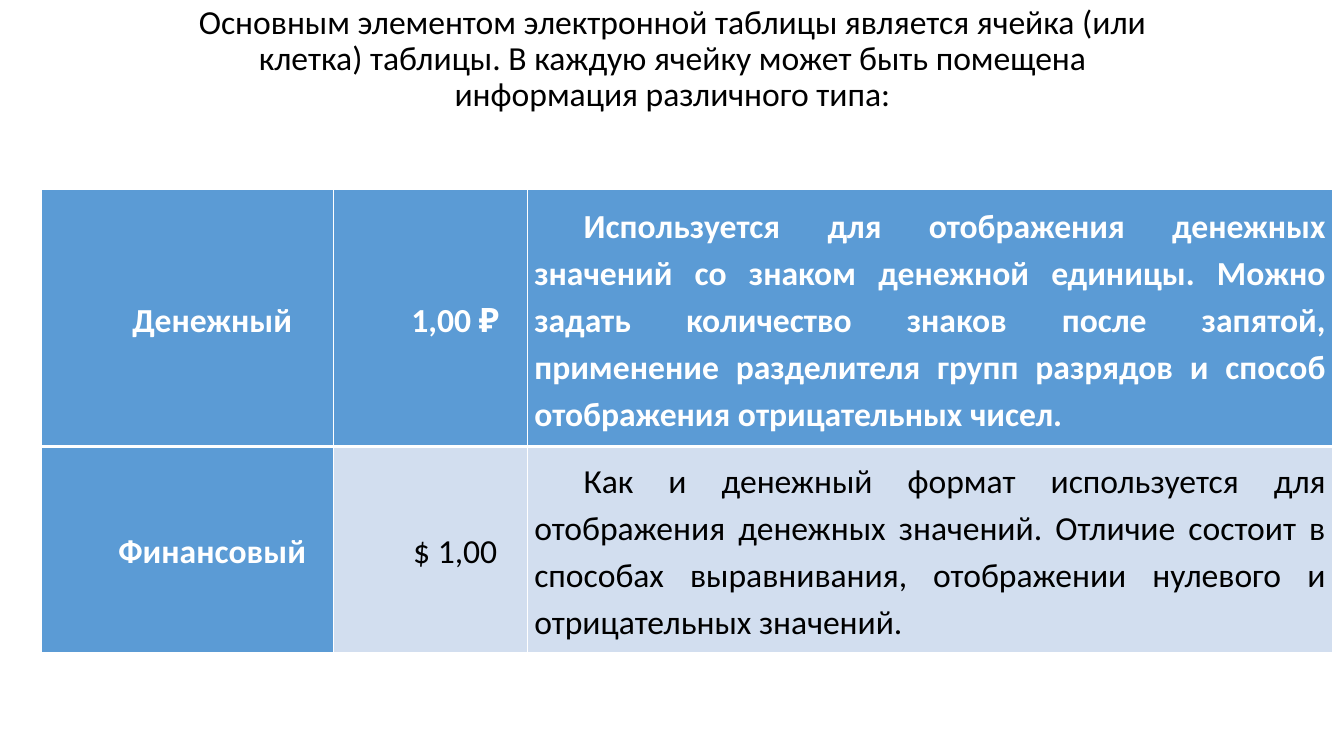
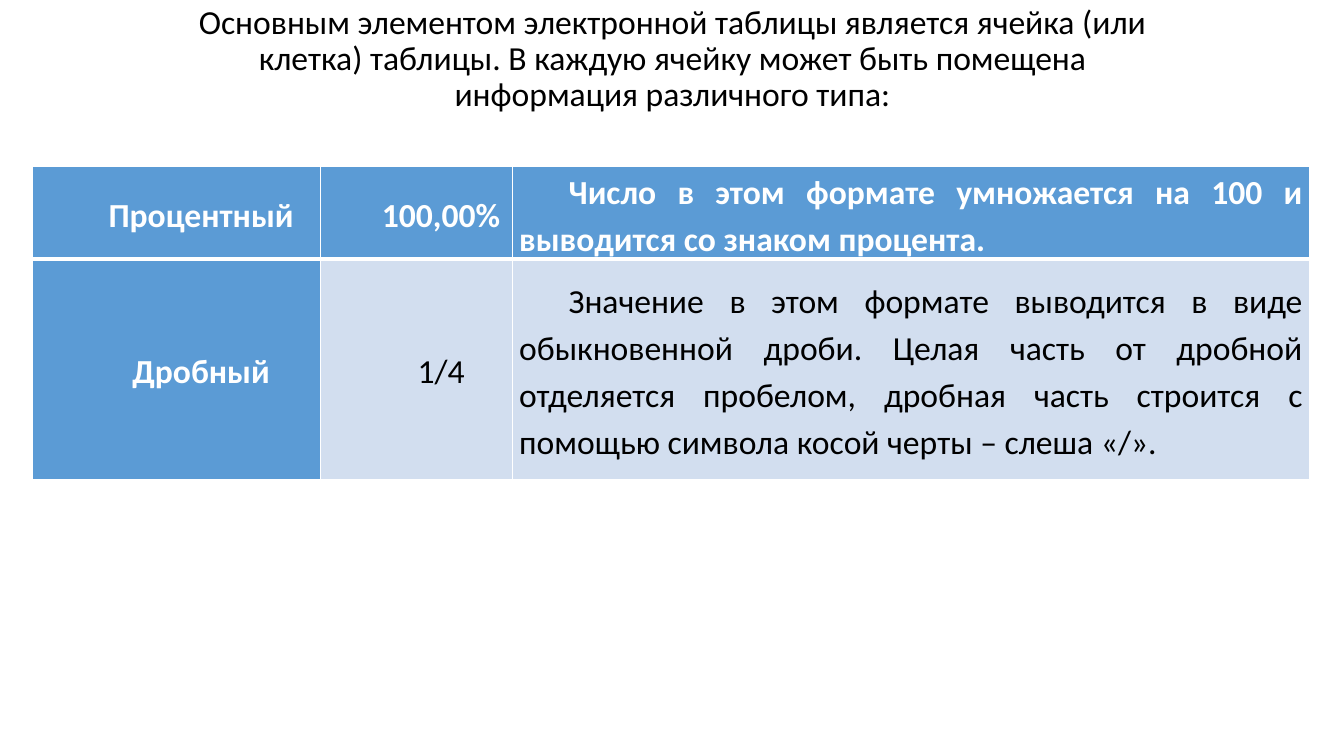
"""Build two slides on the number formats of spreadsheet cells."""
from pptx import Presentation
from pptx.dml.color import RGBColor
from pptx.enum.text import MSO_ANCHOR as Anchor, PP_ALIGN as Align
from pptx.oxml import parse_xml
from pptx.oxml.ns import nsdecls
from pptx.util import Pt

PX = 9144
INTRO = ("Основным элементом электронной таблицы является ячейка (или клетка) таблицы. "
         "В каждую ячейку может быть помещена информация различного типа:")
SLIDES = [
    {
        "corner": (41, 188),
        "widths": (290, 192, 799),
        "heights": (255, 204),
        "rows": [
            ("Денежный", "1,00 ₽",
             "Используется для отображения денежных значений со знаком денежной единицы. "
             "Можно задать количество знаков после запятой, применение разделителя групп "
             "разрядов и способ отображения отрицательных чисел."),
            ("Финансовый", "$ 1,00",
             "Как и денежный формат используется для отображения денежных значений. "
             "Отличие состоит в способах выравнивания, отображении нулевого "
             "и отрицательных значений."),
        ],
    },
    {
        "corner": (32, 165),
        "widths": (286, 190, 791),
        "heights": (74, 219),
        "rows": [
            ("Процентный", "100,00%",
             "Число в этом формате умножается на 100 и выводится со знаком процента."),
            ("Дробный", "1/4",
             "Значение в этом формате выводится в виде обыкновенной дроби. "
             "Целая часть от дробной отделяется пробелом, дробная часть строится "
             "с помощью символа косой черты – слеша «/»."),
        ],
    },
]


def px(length):
    return length * PX


def color(code):
    return RGBColor.from_string(code)


def apply(target, values):
    for name, value in values.items():
        setattr(target, name, value)


class Deck:
    """Hold the shared style and the current slide."""

    ACCENT, PALE, WHITE, BLACK = "5B9BD5", "D2DEEF", "FFFFFF", "000000"
    FONT = {"name": "Calibri", "size": Pt(24)}
    CELL = {"vertical_anchor": Anchor.MIDDLE, "margin_left": px(7), "margin_right": px(7),
            "margin_top": 0, "margin_bottom": 0}
    INDENT = 49
    THIN, THICK = 1, 3

    def __init__(self):
        self.prs = Presentation()
        apply(self.prs, {"slide_width": px(1333), "slide_height": px(750)})
        self.slide = None

    def new_slide(self):
        self.slide = self.prs.slides.add_slide(self.prs.slide_layouts[6])

    def set_text(self, paragraph, text, ink, bold, layout):
        paragraph.text = text
        apply(paragraph, layout)
        apply(paragraph.font, {**self.FONT, "bold": bold})
        paragraph.font.color.rgb = color(ink)

    def intro(self, text):
        frame = self.slide.shapes.add_textbox(px(167), 0, px(1000), px(665)).text_frame
        frame.word_wrap = True
        self.set_text(frame.paragraphs[0], text, self.BLACK, False,
                      {"alignment": Align.CENTER, "line_spacing": 0.9})

    def border(self, cell, side, points):
        cell._tc.get_or_add_tcPr().append(parse_xml(
            f'<a:ln{side} {nsdecls("a")} w="{Pt(points)}"><a:solidFill>'
            f'<a:srgbClr val="{self.WHITE}"/></a:solidFill></a:ln{side}>'))

    def cell(self, cell, text, row, column):
        head = row == 0
        accented = head or column == 0
        apply(cell, self.CELL)
        edges = {"L": self.THIN, "R": self.THIN,
                 "T": self.THIN if head else self.THICK,
                 "B": self.THICK if head else self.THIN}
        for side, points in edges.items():
            self.border(cell, side, points)
        cell.fill.solid()
        cell.fill.fore_color.rgb = color(self.ACCENT if accented else self.PALE)
        paragraph = cell.text_frame.paragraphs[0]
        self.set_text(paragraph, text, self.WHITE if accented else self.BLACK, accented,
                      {"alignment": Align.JUSTIFY if column == 2 else Align.CENTER,
                       "line_spacing": 1.15})
        properties = paragraph._p.get_or_add_pPr()
        properties.set("marL", "0")
        properties.set("indent", str(px(self.INDENT)))

    def formats(self, corner, widths, heights, rows):
        left, top = corner
        table = self.slide.shapes.add_table(
            len(rows), len(widths), px(left), px(top),
            px(sum(widths)), px(sum(heights))).table
        for column, width in zip(table.columns, widths):
            column.width = px(width)
        for line, height in zip(table.rows, heights):
            line.height = px(height)
        for row, texts in enumerate(rows):
            for column, text in enumerate(texts):
                self.cell(table.cell(row, column), text, row, column)


def main():
    deck = Deck()
    for content in SLIDES:
        deck.new_slide()
        deck.intro(INTRO)
        deck.formats(**content)
    deck.prs.save("out.pptx")


if __name__ == "__main__":
    main()
